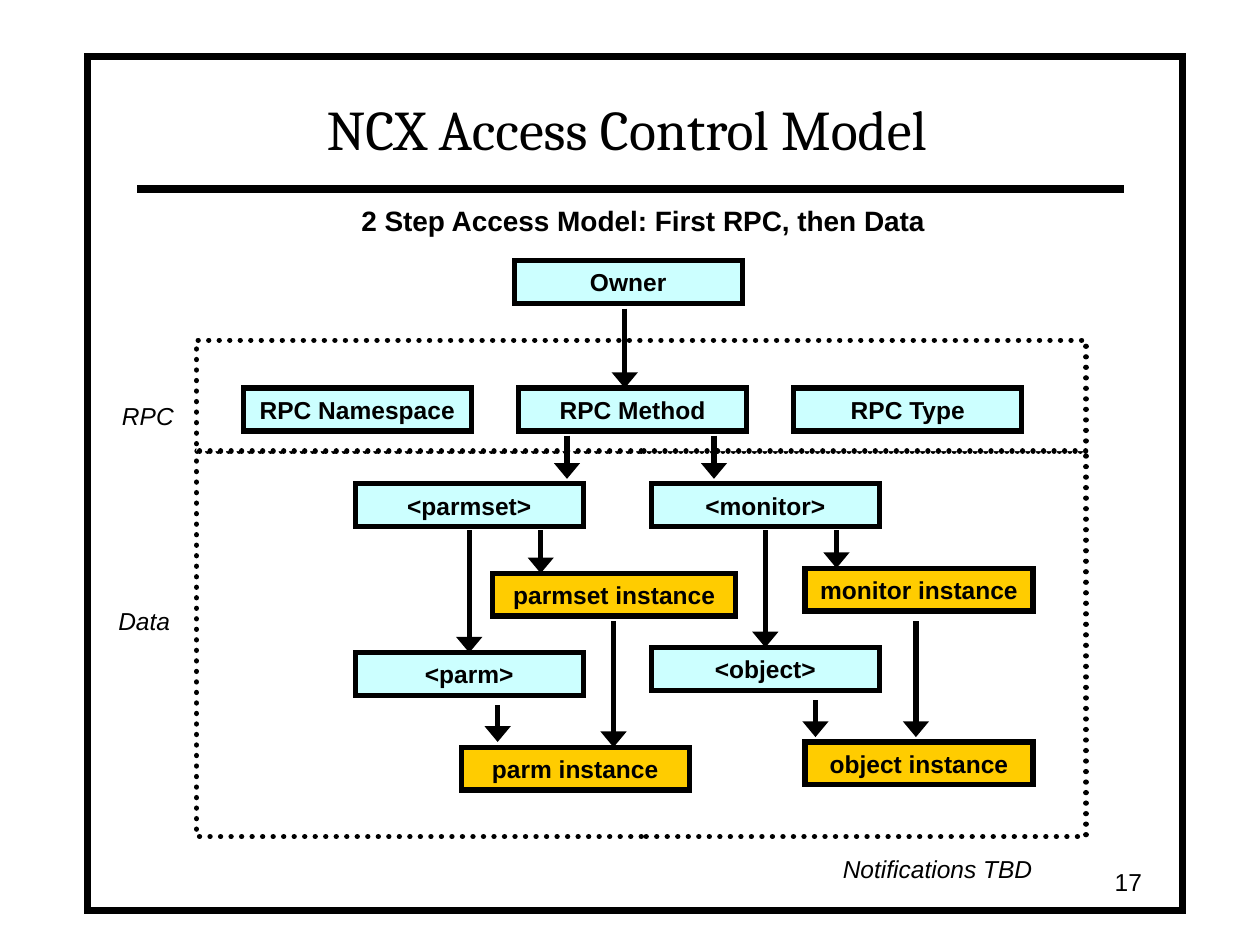
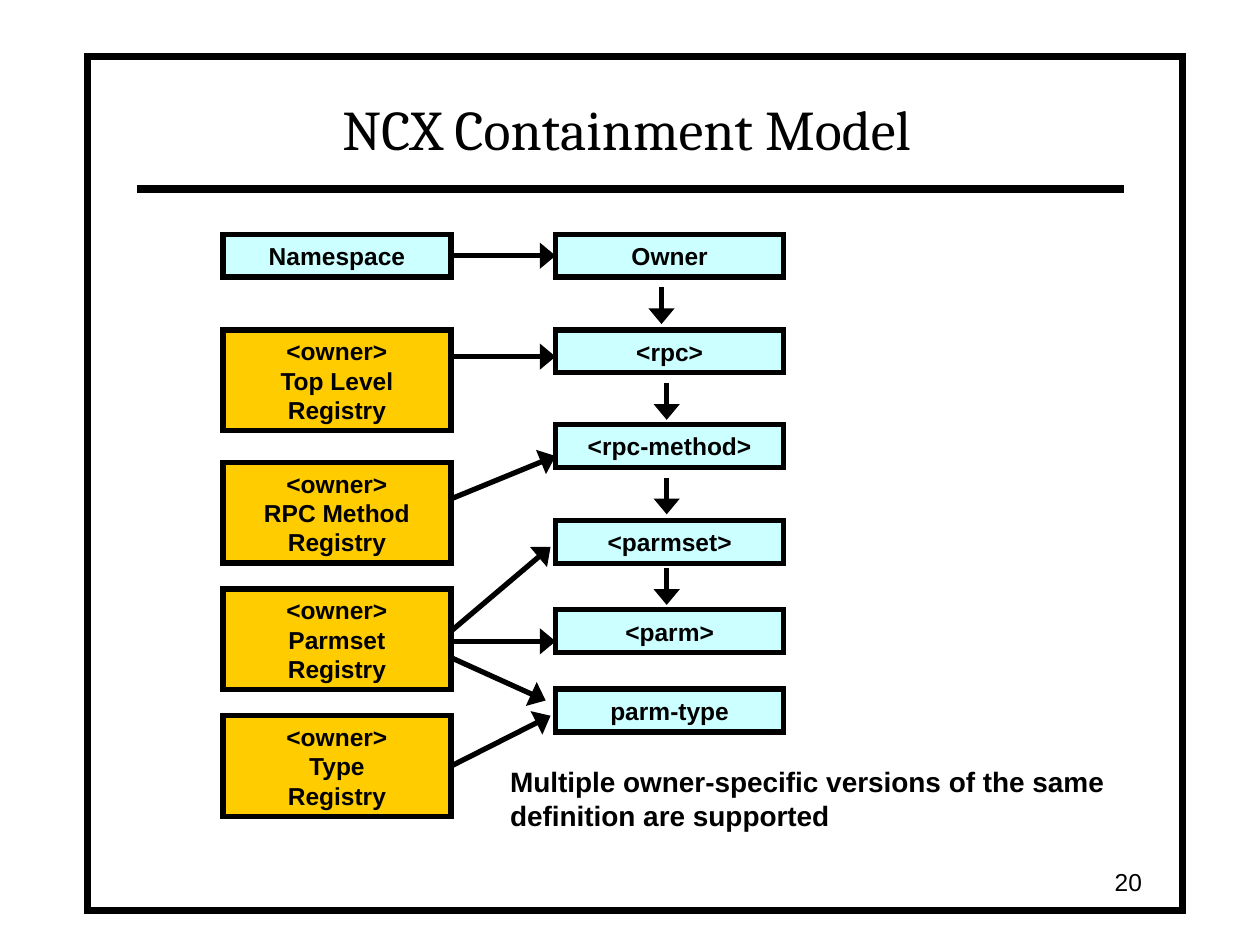
import pptx
import pptx.util
import pptx.dml.color
import pptx.enum.dml
import pptx.enum.shapes
import pptx.enum.text
from lxml import etree

Pt = pptx.util.Pt
ALIGN = pptx.enum.text.PP_ALIGN
ANCHOR = pptx.enum.text.MSO_ANCHOR
RECT = pptx.enum.shapes.MSO_SHAPE.RECTANGLE
STRAIGHT = pptx.enum.shapes.MSO_CONNECTOR.STRAIGHT
A = "{http://schemas.openxmlformats.org/drawingml/2006/main}"

COLORS = {"ink": "000000", "paper": "FFFFFF", "node": "CCFFFF", "instance": "FFCC00"}
RGB = {name: pptx.dml.color.RGBColor.from_string(c) for name, c in COLORS.items()}
BOX_W, BOX_H, REGISTRY_H = 130.3, 24.5, 57.6
TOP, LEFT, BOTTOM, RIGHT = range(4)  # connection sites


def write(sp, text, size=14, align=ALIGN.LEFT, anchor=ANCHOR.TOP, font="Arial",
          bold=False, italic=False):
    tf = sp.text_frame
    tf.text = text
    tf.word_wrap = True
    tf.vertical_anchor = anchor
    tf.margin_left = tf.margin_right = Pt(7.2)
    tf.margin_top = tf.margin_bottom = Pt(3.6)
    p = tf.paragraphs[0]
    p.alignment = align
    for r in p.runs:
        r.font.name, r.font.size = font, Pt(size)
        r.font.bold, r.font.italic = bold, italic
        r.font.color.rgb = RGB["ink"]


def add_outlined(kind, shapes, geometry, width, fill=None):
    """Add a black-outlined rectangle or panel, or a line or arrow, without a shadow."""
    x, y, a, b = [Pt(v) for v in geometry]
    if kind in ("rect", "panel"):
        sp = shapes.add_shape(RECT, x, y, a, b)
        sp.shadow.inherit = False
        sp.fill.solid()
        sp.fill.fore_color.rgb = RGB[fill]
    else:
        sp = shapes.add_connector(STRAIGHT, x, y, a, b)
        etree.SubElement(sp.element.spPr, A + "effectLst")
    sp.line.color.rgb = RGB["ink"]
    sp.line.width = Pt(width)
    ln = sp.element.spPr.find(A + "ln")
    if kind == "panel":
        sp.line.dash_style = pptx.enum.dml.MSO_LINE.ROUND_DOT
        ln.set("cap", "rnd")
    etree.SubElement(ln, A + "miter", lim="800000")
    if kind == "arrow":
        etree.SubElement(ln, A + "tailEnd", type="triangle", w="lg", len="med")
    return sp


# Access control: boxes are name -> (fill, x, y, width, height)
access_boxes = {
    "Owner": ("node", 293.8, 149, BOX_W, BOX_H),
    "<parmset>": ("node", 203, 276.5, BOX_W, BOX_H),
    "<monitor>": ("node", 372.2, 276.5, BOX_W, BOX_H),
    "<parm>": ("node", 203, 373, BOX_W, BOX_H),
    "<object>": ("node", 372.2, 370, BOX_W, BOX_H),
    "parmset instance": ("instance", 281.5, 327.6, 139, BOX_H),
    "monitor instance": ("instance", 460, 324.7, BOX_W, BOX_H),
    "parm instance": ("instance", 263.5, 427, BOX_W, BOX_H),
    "object instance": ("instance", 460, 424, BOX_W, BOX_H),
}
for i, name in enumerate(["RPC Namespace", "RPC Method", "RPC Type"]):
    access_boxes[name] = ("node", 139 + 157.3 * i, 221.8, BOX_W, BOX_H)

# Vertical arrows: x, start y, end y, box joined at its top
access_arrows = [((x, y1), (x, y2), None, joined) for x, y1, y2, joined in [
    (357, 176.4, 221.8, None),
    (324, 249, 273.6, None),
    (408, 249, 273.6, None),
    (268.15, 303, 373, ("<parm>", TOP)),
    (437.35, 303, 370, ("<object>", TOP)),
    (309, 303, 327.6, None),
    (478, 303, 324.7, None),
    (284.4, 403, 424, None),
    (466, 400.3, 421.2, None),
    (350.6, 355, 427, None),
    (523.4, 355, 421.2, None),
]]

# Containment: definitions on the right, registries on the left
left_x, right_x = 127.4, 317.5
left_edge = left_x + BOX_W
containment_boxes = {"Namespace": ("node", left_x, 133.9, BOX_W, BOX_H)}
for name, y in [("Owner", 133.9), ("<rpc>", 188.6), ("<rpc-method>", 242.6),
                ("<parmset>", 297.4), ("<parm>", 348.5), ("parm-type", 393.8)]:
    containment_boxes[name] = ("node", right_x, y, BOX_W, BOX_H)
for i, kind in enumerate(["Top Level", "RPC Method", "Parmset", "Type"]):
    y = 188.6 if i == 0 else 264.2 + 72.4 * (i - 1)
    containment_boxes[f"<owner>\v{kind}\vRegistry"] = ("instance", left_x, y, BOX_W, REGISTRY_H)

containment_arrows = [((x, y), (x, y + 21), None, None) for x, y in
                      [(378, 164.2), (381, 218.9), (381, 272.9), (381, 324.7)]]
containment_arrows += [((left_edge, y1), (x2, y2), start, end) for y1, x2, y2, start, end in [
    (146, right_x, 146, ("Namespace", RIGHT), ("Owner", LEFT)),
    (203.8, right_x, 203.8, None, None),
    (285.1, right_x, 260.6, None, None),
    (360.7, 314.6, 312.5, None, None),
    (366.5, right_x, 366.5, None, None),
    (375.8, 311.8, 400.3, None, None),
    (437.8, 314.6, 409, ("<owner>\vType\vRegistry", RIGHT), None),
]]

# Notes: text, geometry, size, bold, italic
slides = [
    dict(title="NCX Access Control Model", number="17",
         panels=[(112.3, 257.8, 508.3, 220.3), (112.3, 194.4, 508.3, 63.4)],
         boxes=access_boxes, arrows=access_arrows,
         notes=[("RPC", (62.6, 225.4, 48, 24.5), 14, False, True),
                ("Data", (60.5, 342.7, 48, 24.5), 14, False, True),
                ("Notifications TBD", (474.5, 484.6, 140, 24.5), 14, False, True),
                ("2 Step Access Model: First RPC, then Data",
                 (199.4, 113, 350.6, 26.6), 16, True, False)]),
    dict(title="NCX Containment Model", number="20", panels=[],
         boxes=containment_boxes, arrows=containment_arrows,
         notes=[("Multiple owner-specific versions of the same definition are supported",
                 (284.4, 433.4, 368.6, 46), 16, True, False)]),
]

prs = pptx.Presentation()
prs.slide_width, prs.slide_height = Pt(720), Pt(540)
layout = prs.slide_layouts[5]

for n, content in enumerate(slides):
    s = prs.slides.add_slide(layout)

    # Frame and title rule, moved once to the shared layout
    if n == 0:
        frame = add_outlined("rect", s.shapes, (50, 32.2, 625.7, 488.2), 4, "paper")
        rule = add_outlined("line", s.shapes, (78.5, 108, 642.2, 108), 4.5)
        tree = layout.element.cSld.spTree
        tree.insert(2, frame.element)
        tree.insert(3, rule.element)

    # Title
    sp = s.shapes.title
    sp.left, sp.top, sp.width, sp.height = Pt(77.8), Pt(41.8), Pt(560.9), Pt(54)
    write(sp, content["title"], 32, ALIGN.CENTER, ANCHOR.BOTTOM, "Cambria")

    # Dotted panels
    for geometry in content["panels"]:
        add_outlined("panel", s.shapes, geometry, 3, "paper")

    # Boxes
    boxes = {}
    for name, (fill, *geometry) in content["boxes"].items():
        sp = boxes[name] = add_outlined("rect", s.shapes, geometry, 3, fill)
        write(sp, name, align=ALIGN.CENTER, anchor=ANCHOR.MIDDLE, bold=True)

    # Arrows
    for start, end, start_join, end_join in content["arrows"]:
        sp = add_outlined("arrow", s.shapes, (*start, *end), 3)
        if start_join:
            sp.begin_connect(boxes[start_join[0]], start_join[1])
        if end_join:
            sp.end_connect(boxes[end_join[0]], end_join[1])

    # Notes
    for text, geometry, size, bold, italic in content["notes"]:
        sp = s.shapes.add_textbox(*[Pt(v) for v in geometry])
        write(sp, text, size, bold=bold, italic=italic)

    # Slide number
    sp = s.shapes.add_textbox(Pt(509.8), Pt(491.8), Pt(149.8), Pt(23.8))
    write(sp, content["number"], align=ALIGN.RIGHT, anchor=ANCHOR.MIDDLE)

prs.save("out.pptx")
